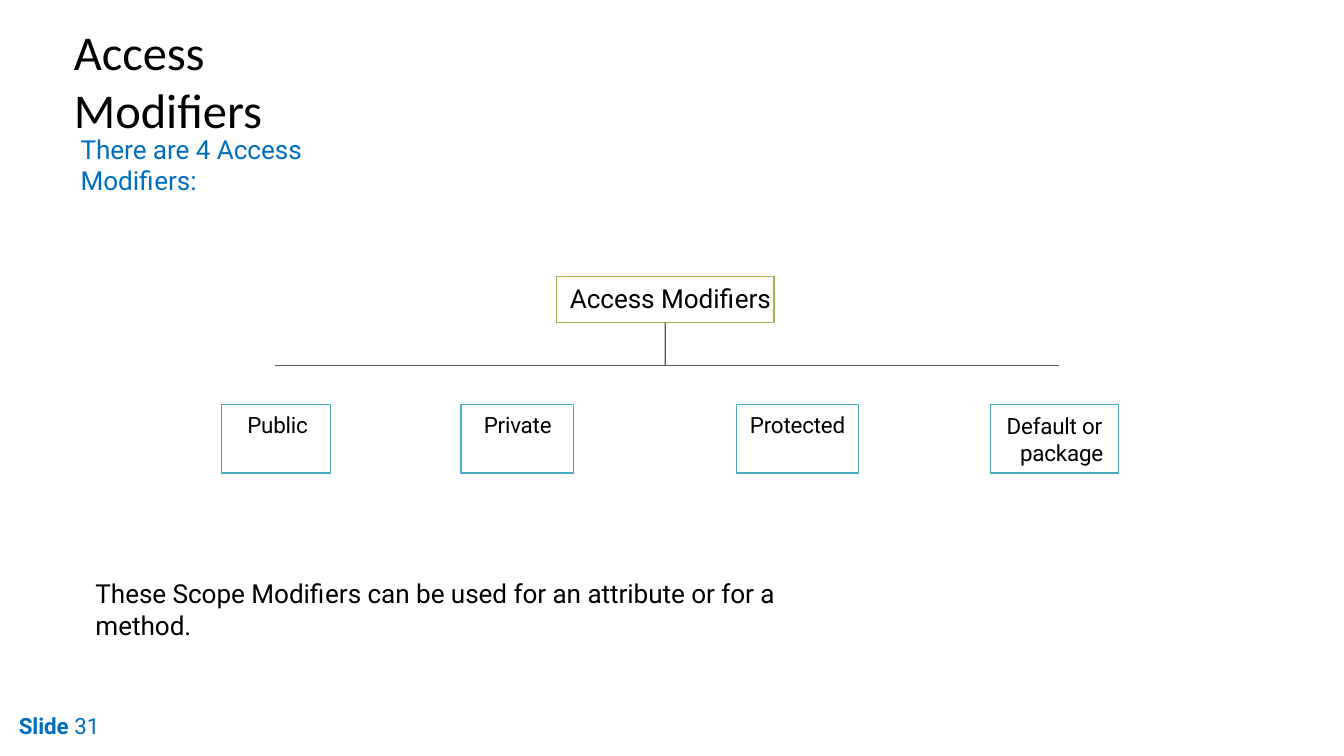
"""Build the Access Modifiers slide."""
import pptx
import pptx.dml.color
import pptx.enum.shapes
import pptx.enum.text
import pptx.oxml.ns
import pptx.util
from lxml import etree

Inches = pptx.util.Inches
Pt = pptx.util.Pt
RGBColor = pptx.dml.color.RGBColor

BLACK = RGBColor(0x00, 0x00, 0x00)
BLUE = RGBColor(0x00, 0x6E, 0xC0)
GREEN = RGBColor(0x96, 0xB8, 0x52)
TEAL = RGBColor(0x46, 0xAA, 0xC5)
GREY = RGBColor(0x57, 0x57, 0x57)


class SlideBuilder:
    def __init__(self, slide, font="Roboto", line_width=0.72):
        self.slide = slide
        self.font = font
        self.line_width = Pt(line_width)

    def style_run(self, r, size, color, font=None, bold=False, spacing=-5):
        r.font.name = font or self.font
        r.font.size = Pt(size)
        r.font.bold = bold
        r.font.color.rgb = color
        r.font._element.set("spc", str(spacing))

    def fill_text(self, sp, text, size, color, top, indent,
                  hanging=0, font=None, spacing=-5):
        tf = sp.text_frame
        tf.word_wrap = True
        tf.vertical_anchor = pptx.enum.text.MSO_ANCHOR.TOP
        tf.margin_left = tf.margin_right = tf.margin_bottom = 0
        tf.margin_top = Inches(top)
        tf.text = text
        p = tf.paragraphs[0]
        p.alignment = pptx.enum.text.PP_ALIGN.LEFT
        pPr = p._p.get_or_add_pPr()
        pPr.set("marL", str(Inches(indent)))
        pPr.set("indent", str(Inches(-hanging)))
        self.style_run(p.runs[0], size, color, font, spacing=spacing)
        return p

    def text(self, x, y, w, h, text, size, color=BLACK, font=None):
        sp = self.slide.shapes.add_textbox(Inches(x), Inches(y), Inches(w), Inches(h))
        return self.fill_text(sp, text, size, color, 0.02, 0.02, font=font)

    def box(self, x, y, w, h, text, size, border, top, indent, hanging=0, spacing=-10):
        sp = self.slide.shapes.add_shape(
            pptx.enum.shapes.MSO_SHAPE.RECTANGLE,
            Inches(x), Inches(y), Inches(w), Inches(h))
        sp.shadow.inherit = False
        sp.fill.background()
        sp.line.color.rgb = border
        sp.line.width = self.line_width
        self.fill_text(sp, text, size, BLACK, top, indent, hanging, spacing=spacing)
        return sp

    def line(self, x1, y1, x2, y2, start=None):
        s = self.slide.shapes.add_connector(
            pptx.enum.shapes.MSO_CONNECTOR.STRAIGHT,
            Inches(x1), Inches(y1), Inches(x2), Inches(y2))
        if start is not None:
            s.begin_connect(start, 2)
        s.line.color.rgb = GREY
        s.line.width = self.line_width
        etree.SubElement(s._element.spPr, pptx.oxml.ns.qn("a:effectLst"))


def main():
    prs = pptx.Presentation()
    prs.slide_width = Inches(10)
    prs.slide_height = prs.slide_width * 9 // 16
    b = SlideBuilder(prs.slides.add_slide(prs.slide_layouts[6]))

    b.text(0.53, 0.14, 2.4, 0.46, "Access Modifiers", 26, font="Calibri")
    b.text(0.58, 0.97, 2.45, 0.26, "There are 4 Access Modifiers:", 14, BLUE)
    b.text(0.69, 4.28, 5.75, 0.26,
           "These Scope Modifiers can be used for an attribute or for a method.", 14)

    root = b.box(4.14, 2.06, 1.62, 0.34, "Access Modifiers", 14, GREEN, 0.04, 0.1,
                 spacing=-5)
    b.line(4.95, 2.4, 4.95, 2.72, start=root)
    b.line(2.05, 2.72, 7.88, 2.72)

    modifiers = [
        (1.65, 0.81, "Public", 0.05, 0.19, 0),
        (3.43, 0.84, "Private", 0.05, 0.17, 0),
        (5.48, 0.91, "Protected", 0.05, 0.1, 0),
        (7.37, 0.95, "Default or package", 0.06, 0.22, 0.1),
    ]
    for x, w, name, top, indent, hanging in modifiers:
        b.box(x, 3.01, w, 0.51, name, 12, TEAL, top, indent, hanging)

    p = b.text(0.12, 5.28, 0.69, 0.23, "Slide ", 12, BLUE)
    p.runs[0].font.bold = True
    r = p.add_run()
    r.text = "31"
    b.style_run(r, 12, BLUE, spacing=0)

    prs.save("out.pptx")


if __name__ == "__main__":
    main()
